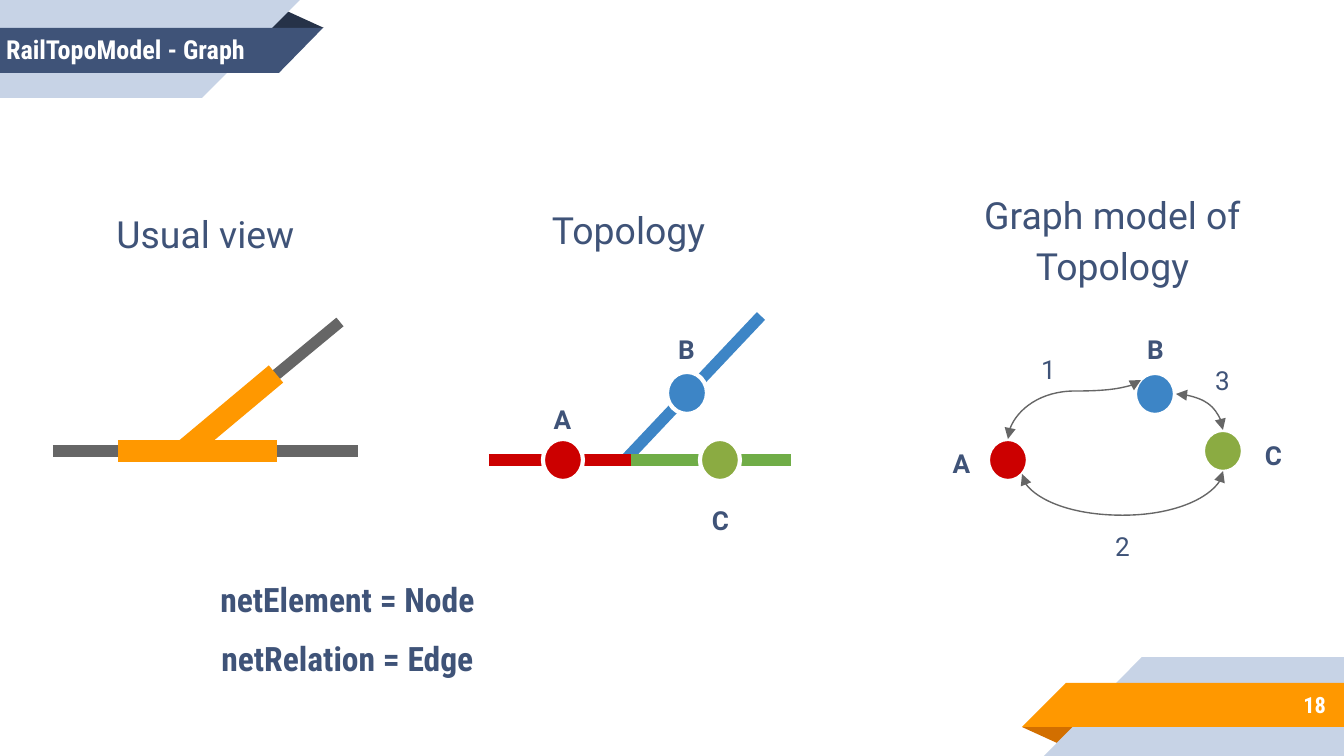
"""Build the RailTopoModel graph slide: a railway switch, its topology and its graph model."""
from lxml.etree import SubElement
from pptx import Presentation
from pptx.dml.color import RGBColor
from pptx.enum.shapes import MSO_CONNECTOR as LINK, MSO_SHAPE as SHAPE
from pptx.enum.text import MSO_ANCHOR as ANCHOR, PP_ALIGN as ALIGN
from pptx.oxml.ns import qn
from pptx.util import Pt

COLORS = {
    "navy": "3F5378", "dark": "263248", "pale": "C7D3E6", "orange": "FF9800",
    "rust": "D26F00", "gray": "666666", "red": "CC0000", "blue": "3D85C6",
    "green": "70AD47", "olive": "8BAB42", "white": "FFFFFF",
}
COLORS = {name: RGBColor.from_string(value) for name, value in COLORS.items()}
SCALE = 914400 / 134.4


def px(*lengths):
    return [round(length * SCALE) for length in lengths]


def write(box, lines, size, font="Roboto", color="navy", bold=False,
          align=ALIGN.CENTER, anchor=ANCHOR.TOP, spacing=1.0):
    frame = box.text_frame
    frame.word_wrap = True
    frame.vertical_anchor = anchor
    margin = px(13)[0]
    frame.margin_left = frame.margin_right = margin
    frame.margin_top = frame.margin_bottom = margin
    for index, line in enumerate(lines):
        para = frame.add_paragraph() if index else frame.paragraphs[0]
        para.alignment = align
        para.line_spacing = spacing
        span = para.add_run()
        span.text = line
        span.font.name, span.font.size, span.font.bold = font, Pt(size), bold
        span.font.color.rgb = COLORS[color]
    return frame.paragraphs


deck = Presentation()
deck.slide_width, deck.slide_height = px(1344, 756)
page = deck.slides.add_slide(deck.slide_layouts[5])
shapes = page.shapes

banner_parts = [
    (SHAPE.ISOSCELES_TRIANGLE, (1022, 727, 58, 18), "rust", "rot", "10800000"),
    (SHAPE.RECTANGLE, (1142, 657, 202, 99), "pale", None, None),
    (SHAPE.RIGHT_TRIANGLE, (1044, 657, 98, 99), "pale", "flipH", "1"),
    (SHAPE.RECTANGLE, (1066, 683, 278, 44), "orange", None, None),
    (SHAPE.RIGHT_TRIANGLE, (1022, 683, 44, 44), "orange", "flipH", "1"),
    (SHAPE.ISOSCELES_TRIANGLE, (266, 10, 58, 18), "dark", None, None),
    (SHAPE.RECTANGLE, (0, 0, 202, 98), "pale", None, None),
    (SHAPE.RIGHT_TRIANGLE, (202, 0, 98, 98), "pale", "flipV", "1"),
    (SHAPE.RECTANGLE, (0, 28, 279, 45), "navy", None, None),
    (SHAPE.RIGHT_TRIANGLE, (279, 28, 44, 45), "navy", "flipV", "1"),
]
for kind, place, color, turn, value in banner_parts:
    part = shapes.add_shape(kind, *px(*place))
    part.shadow.inherit = False
    part.fill.solid()
    part.fill.fore_color.rgb = COLORS[color]
    part.line.fill.background()
    if kind == SHAPE.ISOSCELES_TRIANGLE:
        part.adjustments[0] = 0.32
    if turn:
        part._element.spPr.find(qn("a:xfrm")).set(turn, value)

title = shapes.title
title.left, title.top, title.width, title.height = px(-7, 19, 367, 61)
write(title, ["RailTopoModel - Graph"], 14, "Roboto Condensed", "white", True,
      ALIGN.LEFT, ANCHOR.MIDDLE)
shapes._spTree.append(title._element)

number_box = shapes.add_textbox(*px(1120, 681, 219, 47))
write(number_box, ["18"], 12, "Roboto Condensed", "white", True,
      ALIGN.RIGHT, ANCHOR.MIDDLE)

tracks = [
    ((625, 460, 761, 316), "blue", 6),
    ((53, 451, 358, 451), "gray", 6),
    ((184, 451, 340, 322), "gray", 6),
    ((118, 451, 277, 451), "orange", 12),
    ((184, 451, 276, 374), "orange", 12),
    ((489, 460, 631, 460), "red", 6),
    ((631, 460, 791, 460), "green", 6),
]
for ends, color, width in tracks:
    track = shapes.add_connector(LINK.STRAIGHT, *px(*ends))
    track.line.color.rgb = COLORS[color]
    track.line.width = Pt(width)
    SubElement(track._element.spPr, qn("a:effectLst"))

nodes = [
    (543, 439, "red"), (700, 439, "olive"), (667, 372, "blue"),
    (988, 439, "red"), (1203, 430, "olive"), (1135, 373, "blue"),
]
for left, top, color in nodes:
    node = shapes.add_shape(SHAPE.OVAL, *px(left, top, 40, 42))
    node.shadow.inherit = False
    node.fill.solid()
    node.fill.fore_color.rgb = COLORS[color]
    node.line.color.rgb = COLORS["white"]
    node.line.width = Pt(2.25)

edges = [
    ((1008, 439), (1141, 380), 48),
    ((1022, 474), (1223, 471), -41),
    ((1176, 394), (1223, 430), None),
]
for (start_x, start_y), (end_x, end_y), rise in edges:
    if rise is None:
        ends = (start_x, start_y, end_x, end_y)
    else:
        width, height = start_y - end_y, end_x - start_x
        left = (start_x + end_x - width) // 2
        top = (start_y + end_y - height) // 2
        ends = (left, top, left + width, top + height)
    edge = shapes.add_connector(LINK.CURVE, *px(*ends))
    edge.line.color.rgb = COLORS["gray"]
    edge.line.width = Pt(0.75)
    properties = edge._element.spPr
    geometry = properties.find(qn("a:prstGeom"))
    if rise is None:
        geometry.set("prst", "curvedConnector2")
    else:
        properties.find(qn("a:xfrm")).set("rot", "16200000")
        bend = round(rise / width * 100000)
        SubElement(geometry.find(qn("a:avLst")), qn("a:gd"), name="adj1", fmla=f"val {bend}")
    for tip in ("a:headEnd", "a:tailEnd"):
        SubElement(properties.find(qn("a:ln")), qn(tip), type="triangle")
    SubElement(properties, qn("a:effectLst"))

labels = [
    ("A", 536, 386), ("B", 660, 316), ("C", 694, 487),
    ("A", 935, 430), ("B", 1129, 316), ("C", 1247, 422),
    ("1", 1022, 336), ("2", 1096, 513), ("3", 1196, 347),
]
for text, left, top in labels:
    label_box = shapes.add_textbox(*px(left, top, 53, 59))
    write(label_box, [text], 14, bold=text.isalpha(), spacing=1.15)

headings = [
    ("Usual view", (96, 191, 219, 73)),
    ("Topology", (510, 187, 237, 73)),
    ("Graph model of Topology", (929, 172, 367, 125)),
]
for text, place in headings:
    write(shapes.add_textbox(*px(*place)), [text], 20, spacing=1.15)

legend_box = shapes.add_textbox(*px(127, 566, 441, 128))
node_para, edge_para = write(legend_box, ["netElement = Node", "netRelation = Edge"],
                             18, "Roboto Condensed", bold=True)
node_para.space_before = Pt(6)
edge_para.space_before = edge_para.space_after = Pt(10)

deck.save("out.pptx")
